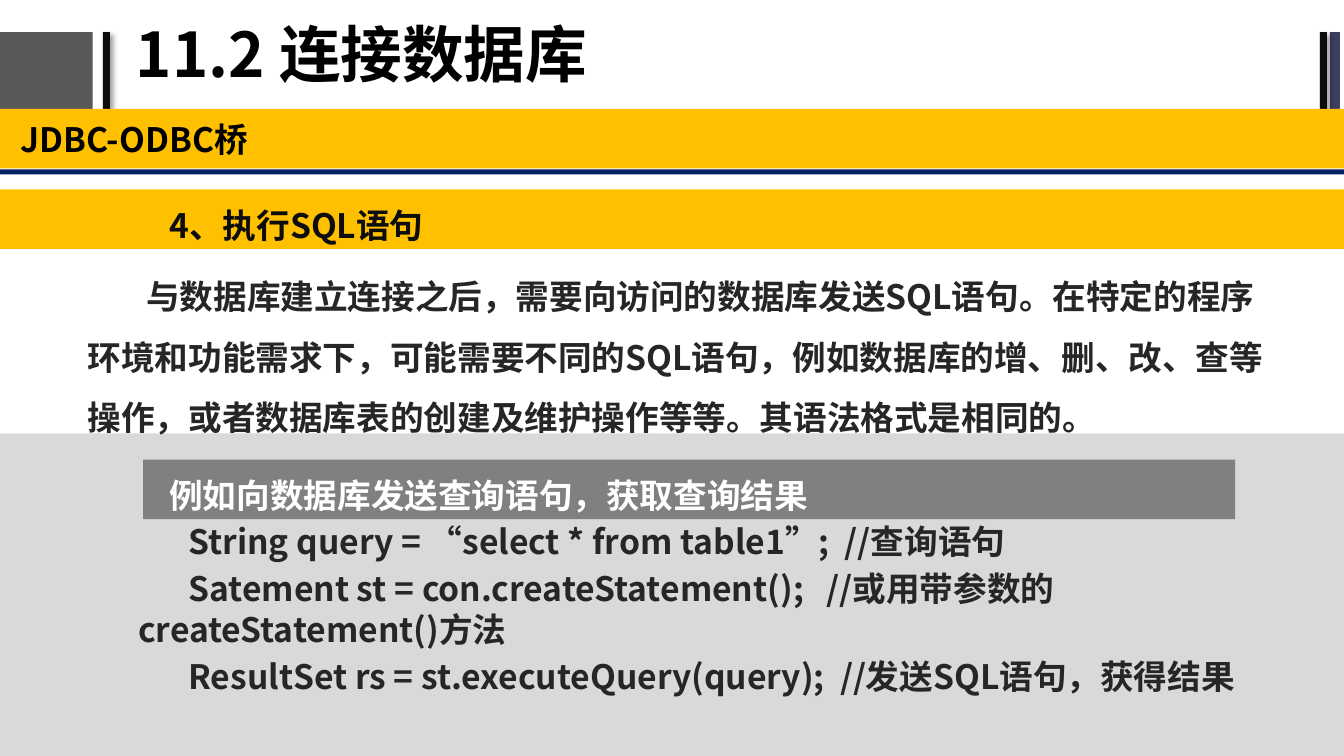
"""Build the slide on running SQL statements through the JDBC-ODBC bridge."""
from dataclasses import dataclass

from lxml.etree import SubElement
from pptx import Presentation
from pptx.dml.color import RGBColor
from pptx.enum.shapes import MSO_SHAPE as Shape
from pptx.enum.text import MSO_ANCHOR as Anchor, PP_ALIGN as Align
from pptx.oxml.ns import qn
from pptx.util import Inches, Pt

FONT = "Noto Sans CJK SC"
COLORS = {
    "black": "000000", "ink": "0D0D0D", "text": "262626", "white": "FFFFFF",
    "slate": "595959", "indigo": "3B3F60", "navy": "002060",
    "amber": "FFC000", "panel": "D9D9D9", "caption": "808080",
}


@dataclass(frozen=True)
class Bar:
    left: float
    top: float
    width: float
    height: float
    color: str
    shadow: bool = False


@dataclass(frozen=True)
class TextBlock:
    left: float
    top: float
    width: float
    height: float
    lines: tuple[str, ...]
    color: str
    size: int = 24
    spacing: float = 1.0
    margin: float = 0
    indent: float = 0
    inset_x: float = 0.13
    inset_y: float = 0.07
    anchor: Anchor = Anchor.TOP


BARS = (
    Bar(0, 0.32, 0.92, 0.76, "slate"),
    Bar(1.02, 0.32, 0.07, 0.76, "ink", shadow=True),
    Bar(13.19, 0.32, 0.1, 0.76, "indigo"),
    Bar(13.09, 0.32, 0.07, 0.76, "ink", shadow=True),
    Bar(0, 1.68, 13.33, 0.05, "navy"),
    Bar(0, 1.08, 13.33, 0.59, "amber"),
    Bar(0, 1.88, 13.33, 0.59, "amber"),
    Bar(0, 4.3, 13.33, 3.2, "panel"),
    Bar(1.42, 4.56, 10.83, 0.59, "caption"),
)

TEXTS = (
    TextBlock(1.25, 0.02, 8.47, 1.1, ("11.2 连接数据库",), "black", size=44,
              spacing=0.9, inset_x=0.1, inset_y=0.05, anchor=Anchor.MIDDLE),
    TextBlock(0, 1.08, 13.33, 0.59, ("JDBC-ODBC桥",), "black",
              inset_x=0.2, anchor=Anchor.MIDDLE),
    TextBlock(1.55, 1.88, 10.19, 0.58, ("4、执行SQL语句",), "ink", spacing=1.2),
    TextBlock(0.74, 2.47, 11.92, 1.74, (
        "与数据库建立连接之后，需要向访问的数据库发送SQL语句。"
        "在特定的程序环境和功能需求下，可能需要不同的SQL语句，"
        "例如数据库的增、删、改、查等操作，"
        "或者数据库表的创建及维护操作等等。其语法格式是相同的。",
    ), "text", spacing=1.5, indent=0.58),
    TextBlock(1.55, 4.56, 10.19, 0.58,
              ("例如向数据库发送查询语句，获取查询结果",), "white", spacing=1.2),
    TextBlock(0.66, 5.1, 12.17, 2.02, (
        "String query = “select * from table1”;  //查询语句",
        "Satement st = con.createStatement();   "
        "//或用带参数的createStatement()方法",
        "ResultSet rs = st.executeQuery(query);  //发送SQL语句，获得结果",
    ), "text", margin=0.58, indent=0.5),
)


def rgb(name: str) -> RGBColor:
    return RGBColor.from_string(COLORS[name])


def add_shadow(shape) -> None:
    effects = shape.element.spPr.find(qn("a:effectLst"))
    shadow = SubElement(effects, qn("a:outerShdw"), blurRad=str(Pt(4)),
                        dist=str(Pt(3)), dir="2700000", algn="tl")
    color = SubElement(shadow, qn("a:srgbClr"), val=COLORS["black"])
    SubElement(color, qn("a:alpha"), val="40000")


def draw_bar(page, bar: Bar) -> None:
    shape = page.shapes.add_shape(
        Shape.RECTANGLE, Inches(bar.left), Inches(bar.top),
        Inches(bar.width), Inches(bar.height))
    shape.fill.solid()
    shape.fill.fore_color.rgb = rgb(bar.color)
    shape.line.fill.background()
    shape.shadow.inherit = False
    if bar.shadow:
        add_shadow(shape)


def draw_text(page, block: TextBlock) -> None:
    box = page.shapes.add_textbox(
        Inches(block.left), Inches(block.top),
        Inches(block.width), Inches(block.height))
    frame = box.text_frame
    frame.word_wrap = True
    frame.vertical_anchor = block.anchor
    frame.margin_left = frame.margin_right = Inches(block.inset_x)
    frame.margin_top = frame.margin_bottom = Inches(block.inset_y)
    for index, line in enumerate(block.lines):
        para = frame.add_paragraph() if index else frame.paragraphs[0]
        para.alignment = Align.LEFT
        para.line_spacing = block.spacing
        if index:
            para.space_before = Pt(4.8)
        properties = para._p.get_or_add_pPr()
        properties.set("marL", str(Inches(block.margin)))
        properties.set("indent", str(Inches(block.indent)))
        span = para.add_run()
        span.text = line
        span.font.name = FONT
        span.font.size = Pt(block.size)
        span.font.bold = True
        span.font.color.rgb = rgb(block.color)
        SubElement(span.font._element, qn("a:ea"), typeface=FONT)


def main() -> None:
    deck = Presentation()
    deck.slide_width = Inches(13.33)
    deck.slide_height = Inches(7.5)
    page = deck.slides.add_slide(deck.slide_layouts[6])
    for bar in BARS:
        draw_bar(page, bar)
    for block in TEXTS:
        draw_text(page, block)
    deck.save("out.pptx")


if __name__ == "__main__":
    main()
